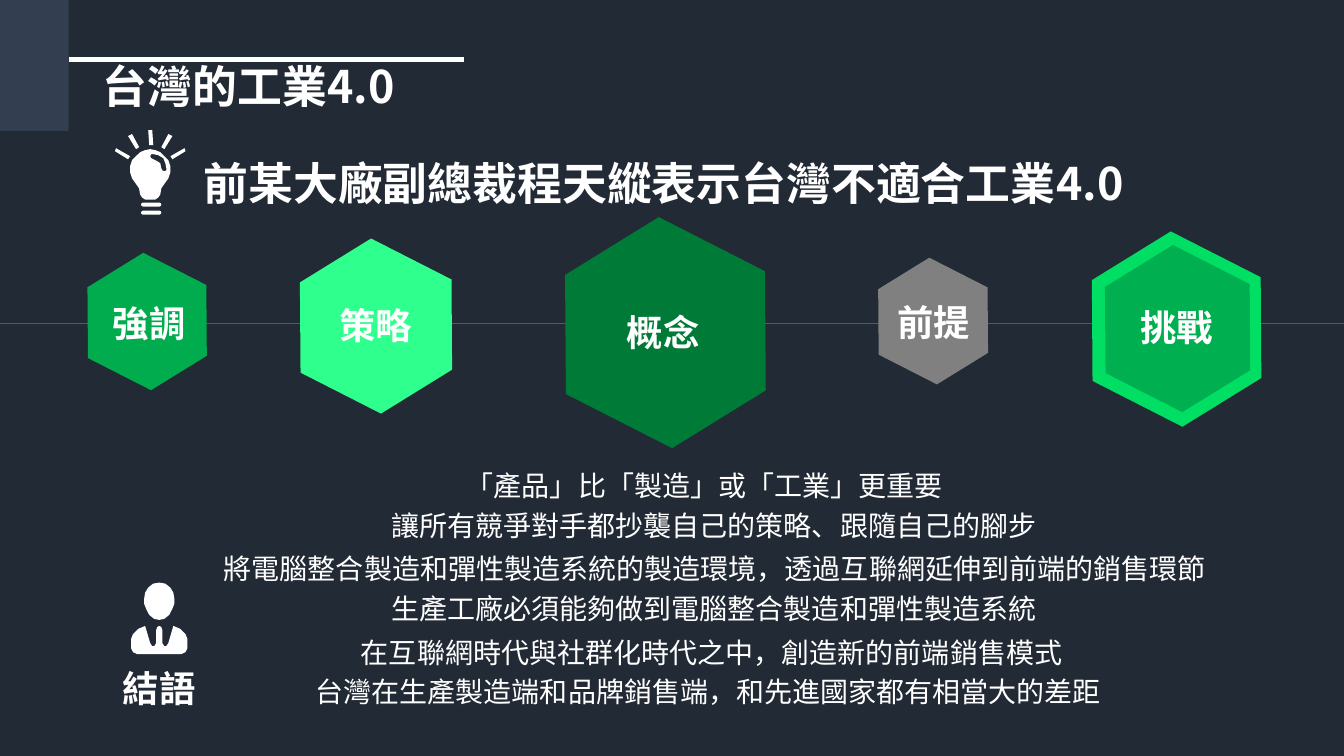
from dataclasses import dataclass
from typing import NamedTuple

from lxml.etree import SubElement
from pptx import Presentation
from pptx.dml.color import RGBColor
from pptx.enum.shapes import MSO_CONNECTOR, MSO_SHAPE
from pptx.enum.text import MSO_ANCHOR, PP_ALIGN
from pptx.oxml.ns import qn
from pptx.util import Inches, Pt


@dataclass(frozen=True)
class Theme:
    font: str = "Noto Sans CJK SC"
    background: str = "222A35"
    corner: str = "333F50"
    white: str = "FFFFFF"
    axis: str = "595959"
    title_size: int = 32
    label_size: int = 26
    body_size: int = 20


class Hexagon(NamedTuple):
    left: float
    top: float
    width: float
    height: float
    color: str


class Label(NamedTuple):
    text: str
    left: float
    top: float
    width: float = 0.94


class Statement(NamedTuple):
    text: str
    left: float
    top: float
    width: float = 9.19


Point = tuple[float, float]
THEME = Theme()
TEXT_HEIGHT = 0.54
STATEMENT_INDENT = 1.1

HEXAGONS = [
    Hexagon(0.77, 2.59, 1.38, 1.2, "00AC4E"),
    Hexagon(2.85, 2.47, 1.76, 1.53, "2FFF8D"),
    Hexagon(5.44, 2.29, 2.32, 2.02, "007A37"),
    Hexagon(8.62, 2.63, 1.27, 1.11, "808080"),
    Hexagon(10.69, 2.41, 1.96, 1.71, "00DE64"),
    Hexagon(10.84, 2.53, 1.68, 1.46, "00B050"),
]
LABELS = [
    Label("強調", 1.02, 2.94),
    Label("策略", 3.27, 2.96),
    Label("概念", 6.12, 3.03),
    Label("前提", 8.8, 2.93),
    Label("挑戰", 11.21, 2.98),
    Label("結語", 1.12, 6.56, 1.24),
]
STATEMENTS = [
    Statement("「產品」比「製造」或「工業」更重要", 3.52, 4.5, 6.08),
    Statement("讓所有競爭對手都抄襲自己的策略、跟隨自己的腳步", 2.78, 4.9),
    Statement("將電腦整合製造和彈性製造系統的製造環境，透過互聯網延伸到前端的銷售環節",
              1.12, 5.32, 11.1),
    Statement("生產工廠必須能夠做到電腦整合製造和彈性製造系統", 2.78, 5.72),
    Statement("在互聯網時代與社群化時代之中，創造新的前端銷售模式", 2.48, 6.16),
    Statement("台灣在生產製造端和品牌銷售端，和先進國家都有相當大的差距", 2.03, 6.54),
]

# Icon outlines: half profiles are (distance from the axis, y)
BULB_AXIS = 1.49
BULB_HALF = [(0, 1.48), (0.05, 1.49), (0.1, 1.51), (0.14, 1.55), (0.18, 1.59),
             (0.2, 1.65), (0.2, 1.71), (0.18, 1.77), (0.13, 1.84), (0.11, 1.87),
             (0.1, 1.93), (0.08, 1.96), (0.05, 1.98)]
BULB_SHINE = [(1.63, 1.7), (1.61, 1.69), (1.6, 1.67), (1.59, 1.62), (1.56, 1.6),
              (1.52, 1.58), (1.5, 1.57), (1.49, 1.55), (1.5, 1.53), (1.52, 1.53),
              (1.57, 1.54), (1.62, 1.57), (1.64, 1.62), (1.65, 1.67), (1.65, 1.69)]
TOP_RAY = [(1.52, 1.44), (1.48, 1.44), (1.47, 1.29), (1.51, 1.29)]
SIDE_RAYS = [
    [(0.14, 1.48), (0.11, 1.46), (0.18, 1.33), (0.22, 1.35)],
    [(0.34, 1.47), (0.2, 1.55), (0.22, 1.58), (0.35, 1.5)],
]
PERSON_AXIS = 1.58
HEAD_HALF = [(0, 5.78), (0.06, 5.79), (0.11, 5.83), (0.14, 5.88), (0.15, 5.94),
             (0.15, 5.99), (0.13, 6.04), (0.1, 6.1), (0.05, 6.14), (0, 6.15)]
SUIT_HALF = [(0, 6.21), (0.02, 6.22), (0.03, 6.25), (0.03, 6.38), (0.05, 6.41),
             (0.07, 6.41), (0.09, 6.38), (0.14, 6.21), (0.21, 6.24), (0.26, 6.29),
             (0.28, 6.34), (0.28, 6.43), (0.26, 6.47), (0.22, 6.49)]


def apply(target, **values) -> None:
    for name, value in values.items():
        setattr(target, name, value)


def fill_plain(shape, color: str) -> None:
    shape.shadow.inherit = False
    shape.fill.solid()
    shape.fill.fore_color.rgb = RGBColor.from_string(color)
    shape.line.fill.background()


def style_text(paragraph, size: int, bold: bool) -> None:
    for run in paragraph.runs:
        apply(run.font, name=THEME.font, size=Pt(size), bold=bold)
        run.font.color.rgb = RGBColor.from_string(THEME.white)
        SubElement(run.font._element, qn("a:ea"), typeface=THEME.font)


def add_block(slide, preset, left: float, top: float, width: float,
              height: float, color: str):
    block = slide.shapes.add_shape(
        preset, Inches(left), Inches(top), Inches(width), Inches(height))
    fill_plain(block, color)
    return block


def add_rule(slide, start: Point, end: Point, color: str, weight: float) -> None:
    rule = slide.shapes.add_connector(
        MSO_CONNECTOR.STRAIGHT, *(Inches(value) for value in start + end))
    rule.line.color.rgb = RGBColor.from_string(color)
    rule.line.width = Pt(weight)
    SubElement(rule._element.spPr, qn("a:effectLst"))


def add_outline(slide, *contours: list[Point]) -> None:
    scaled = [[(Inches(x), Inches(y)) for x, y in contour] for contour in contours]
    builder = slide.shapes.build_freeform(*scaled[0][0])
    for number, contour in enumerate(scaled):
        if number:
            builder.move_to(*contour[0])
        builder.add_line_segments(contour[1:], close=True)
    fill_plain(builder.convert_to_shape(), THEME.white)


def mirror(axis: float, half: list[Point]) -> list[Point]:
    return ([(axis + dx, y) for dx, y in half]
            + [(axis - dx, y) for dx, y in reversed(half)])


def add_text(slide, item: Label | Statement, size: int, bold: bool = False,
             indent: float = 0.1, **paragraph_format) -> None:
    box = slide.shapes.add_textbox(Inches(item.left), Inches(item.top),
                                   Inches(item.width), Inches(TEXT_HEIGHT))
    apply(box.text_frame, word_wrap=True, margin_left=Inches(indent))
    paragraph = box.text_frame.paragraphs[0]
    paragraph.text = item.text
    apply(paragraph, **paragraph_format)
    style_text(paragraph, size, bold)


def set_title(slide) -> None:
    title = slide.shapes.title
    apply(title, left=Inches(0.92), top=Inches(0.59),
          width=Inches(12.41), height=Inches(0.9))
    frame = title.text_frame
    apply(frame, word_wrap=True, vertical_anchor=MSO_ANCHOR.TOP)
    frame.text = "台灣的工業4.0\n前某大廠副總裁程天縱表示台灣不適合工業4.0"
    for paragraph in frame.paragraphs:
        apply(paragraph, alignment=PP_ALIGN.LEFT, line_spacing=0.9, space_before=Pt(0))
        style_text(paragraph, THEME.title_size, True)
    subtitle = frame.paragraphs[1]
    subtitle.space_before = Pt(35)
    subtitle._p.get_or_add_pPr().set("marL", str(Inches(1)))


def main() -> None:
    prs = Presentation()
    apply(prs, slide_width=Inches(13.33), slide_height=Inches(7.5))
    slide = prs.slides.add_slide(prs.slide_layouts[5])
    slide.background.fill.solid()
    slide.background.fill.fore_color.rgb = RGBColor.from_string(THEME.background)

    # Corner block, title and rules
    add_block(slide, MSO_SHAPE.RECTANGLE, 0, 0, 0.68, 1.3, THEME.corner)
    add_rule(slide, (0.68, 0.59), (4.6, 0.59), THEME.white, 3)
    set_title(slide)
    add_rule(slide, (0, 3.21), (13.33, 3.21), THEME.axis, 0.5)

    # Hexagons along the axis
    for hexagon in HEXAGONS:
        block = add_block(slide, MSO_SHAPE.HEXAGON, *hexagon)
        block.adjustments[0] = 0.304
        block.rotation = 328.3

    # Light bulb
    add_outline(slide, mirror(BULB_AXIS, BULB_HALF), BULB_SHINE)
    for top in (2.01, 2.09):
        bar = add_block(slide, MSO_SHAPE.ROUNDED_RECTANGLE, 1.4, top, 0.2, 0.04,
                        THEME.white)
        bar.adjustments[0] = 0.5
    add_outline(slide, TOP_RAY)
    for ray in SIDE_RAYS:
        for side in (-1, 1):
            add_outline(slide, [(BULB_AXIS + side * dx, y) for dx, y in ray])

    # Person
    add_outline(slide, mirror(PERSON_AXIS, SUIT_HALF), mirror(PERSON_AXIS, HEAD_HALF))

    # Labels and statements
    for label in LABELS:
        add_text(slide, label, THEME.label_size, bold=True)
    for statement in STATEMENTS:
        add_text(slide, statement, THEME.body_size, indent=STATEMENT_INDENT,
                 alignment=PP_ALIGN.JUSTIFY, line_spacing=1.3)

    prs.save("out.pptx")


if __name__ == "__main__":
    main()
